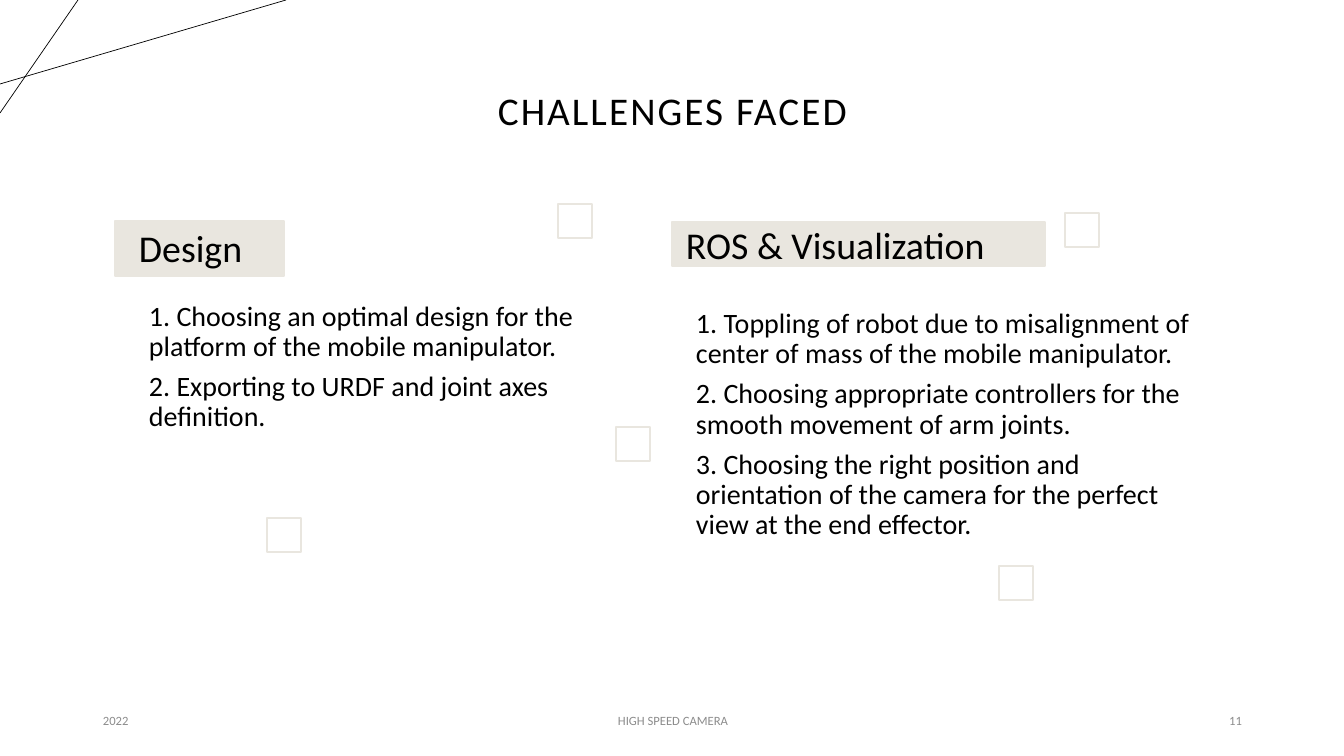
from pptx import Presentation
from pptx.dml.color import RGBColor as RGB
from pptx.enum.shapes import MSO_CONNECTOR as CONN, MSO_SHAPE as SHAPE
from pptx.enum.text import MSO_ANCHOR as ANCHOR, PP_ALIGN as ALIGN
from pptx.oxml.ns import qn
from pptx.util import Pt
from lxml import etree

PX = 914400 / 100.8
HEX = {"ink": "000000", "gray": "8C8C8C", "sand": "E9E6DF", "white": "FFFFFF"}

deck = Presentation()
deck.slide_width, deck.slide_height = round(1344 * PX), round(756 * PX)
slide = deck.slides.add_slide(deck.slide_layouts[6])
shapes = slide.shapes


def add_rect(box, fill):
    rect = shapes.add_shape(SHAPE.RECTANGLE, *[round(v * PX) for v in box])
    rect.shadow.inherit = False
    rect.fill.solid()
    rect.fill.fore_color.rgb = RGB.from_string(HEX[fill])
    rect.line.color.rgb = RGB.from_string(HEX["sand"])
    rect.line.width = Pt(1)


def add_text(box, lines, size, color="ink", align=ALIGN.LEFT, inset=(10, 5),
             pitch=0.9, after=0, track=0):
    frame = shapes.add_textbox(*[round(v * PX) for v in box]).text_frame
    frame.word_wrap = True
    frame.vertical_anchor = ANCHOR.MIDDLE
    frame.margin_left = frame.margin_right = round(inset[0] * PX)
    frame.margin_top = frame.margin_bottom = round(inset[1] * PX)
    for i, line in enumerate(lines):
        para = frame.add_paragraph() if i else frame.paragraphs[0]
        para.alignment = align
        para.line_spacing = pitch
        para.space_after = Pt(after)
        run = para.add_run()
        run.text = line
        run.font.name = "Calibri"
        run.font.size = Pt(size)
        run.font.color.rgb = RGB.from_string(HEX[color])
        if track:
            run.font._element.set("spc", str(track))


# Corner lines
for ends in [(0, 84, 286, 0), (78, 0, 0, 113)]:
    line = shapes.add_connector(CONN.STRAIGHT, *[round(v * PX) for v in ends])
    line.line.color.rgb = RGB.from_string(HEX["ink"])
    line.line.width = Pt(0.5)
    etree.SubElement(line._element.spPr, qn("a:effectLst"))

# Title
add_text((93, 40, 1159, 146), ["CHALLENGES FACED"], 28, align=ALIGN.CENTER, track=150)

# Footer
for left, width, text, align in [(93, 302, "2022", ALIGN.LEFT),
                                 (446, 454, "HIGH SPEED CAMERA", ALIGN.CENTER),
                                 (950, 302, "11", ALIGN.RIGHT)]:
    add_text((left, 701, width, 40), [text], 9, "gray", align, pitch=1)

# Small squares
for left, top in [(558, 204), (616, 427), (267, 518), (999, 566), (1065, 213)]:
    add_rect((left, top, 34, 34), "white")

# Columns: heading band, heading, numbered points
columns = [
    ((115, 221, 169, 55), (133, 232, 473, 36), "Design", (133, 292, 500, 151),
     ["1. Choosing an optimal design for the platform of the mobile manipulator.",
      "2. Exporting to URDF and joint axes definition."]),
    ((672, 222, 373, 44), (680, 220, 338, 55), "ROS & Visualization", (680, 297, 539, 256),
     ["1. Toppling of robot due to misalignment of center of mass of the mobile manipulator.",
      "2. Choosing appropriate controllers for the smooth movement of arm joints.",
      "3. Choosing the right position and orientation of the camera for the perfect "
      "view at the end effector."]),
]
for band, top, head, body, points in columns:
    add_rect(band, "sand")
    add_text(top, [head], 27, inset=(6, 4))
    add_text(body, points, 20, inset=(16, 16), after=7)

deck.save("out.pptx")
